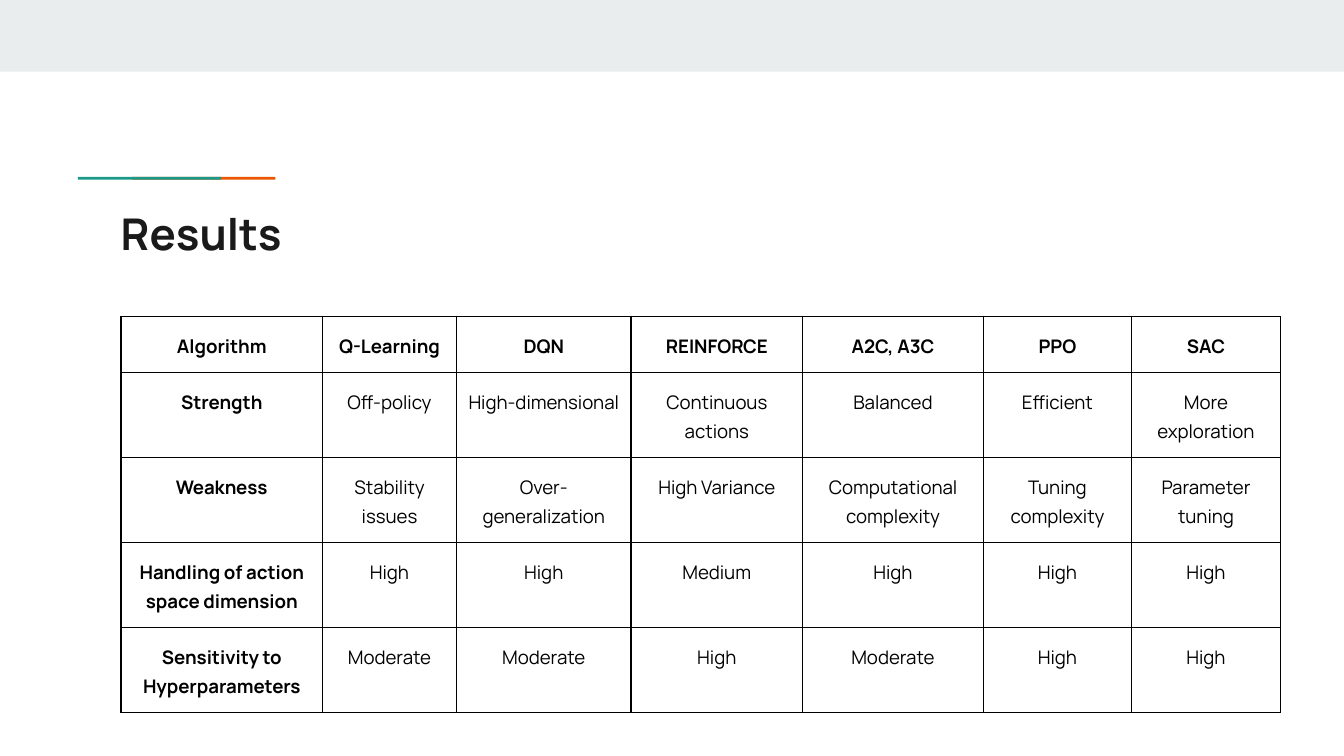
from dataclasses import dataclass

import pptx
import pptx.dml.color
import pptx.enum.shapes
import pptx.enum.text
import pptx.oxml
import pptx.oxml.ns
import pptx.slide
import pptx.table
import pptx.text.text
import pptx.util

Pt = pptx.util.Pt
RGBColor = pptx.dml.color.RGBColor

FONT = "Manrope"
BLACK = RGBColor(0x00, 0x00, 0x00)
TITLE_COLOR = RGBColor(0x1A, 0x1A, 0x1A)
BAND_COLOR = RGBColor(0xE9, 0xED, 0xEE)
TEAL = RGBColor(0x1A, 0x99, 0x88)
ORANGE = RGBColor(0xEB, 0x56, 0x00)

COLUMN_WIDTHS = (108, 71.7, 93.6, 91.8, 97, 79.2, 80)
HEADER_HEIGHT = 30
BODY_HEIGHT = 45.6
BORDER_WIDTH = 0.75

RESULTS = (
    ("Algorithm", "Q-Learning", "DQN", "REINFORCE", "A2C, A3C", "PPO", "SAC"),
    ("Strength", "Off-policy", "High-dimensional", "Continuous actions",
     "Balanced", "Efficient", "More exploration"),
    ("Weakness", "Stability issues", "Over-generalization", "High Variance",
     "Computational complexity", "Tuning complexity", "Parameter tuning"),
    ("Handling of action space dimension", "High", "High", "Medium",
     "High", "High", "High"),
    ("Sensitivity to Hyperparameters", "Moderate", "Moderate", "High",
     "Moderate", "High", "High"),
)


@dataclass(frozen=True)
class Bar:
    left: float
    top: float
    width: float
    height: float
    color: RGBColor
    rotation: float = 0


# The two accent bars are upright strips turned on their side; teal overlaps orange.
BARS = (
    Bar(0, 0, 720, 38.4, BAND_COLOR),
    Bar(108.4, 57.2, 1.5, 76.7, ORANGE, 270),
    Bar(79.4, 57.2, 1.5, 76.7, TEAL, 270),
)


def draw_bar(slide: pptx.slide.Slide, bar: Bar) -> None:
    shape = slide.shapes.add_shape(
        pptx.enum.shapes.MSO_SHAPE.RECTANGLE,
        Pt(bar.left), Pt(bar.top), Pt(bar.width), Pt(bar.height))
    shape.rotation = bar.rotation
    shape.shadow.inherit = False
    shape.fill.solid()
    shape.fill.fore_color.rgb = bar.color
    shape.line.fill.background()


def add_run(paragraph: pptx.text.text._Paragraph, text: str, size: float,
            color: RGBColor, bold: bool) -> None:
    run = paragraph.add_run()
    run.text = text
    run.font.name = FONT
    run.font.size = Pt(size)
    run.font.color.rgb = color
    run.font.bold = bold


def draw_title(slide: pptx.slide.Slide, text: str) -> None:
    box = slide.shapes.add_textbox(Pt(57.6), Pt(103.7), Pt(605.5), Pt(42.5))
    frame = box.text_frame
    frame.word_wrap = True
    frame.margin_left = frame.margin_right = Pt(7.2)
    frame.margin_top = frame.margin_bottom = Pt(7.2)
    add_run(frame.paragraphs[0], text, 23.4, TITLE_COLOR, True)


def add_borders(cell: pptx.table._Cell) -> None:
    """Put a thin black line on all four sides, ahead of the cell's fill."""
    properties = cell._tc.get_or_add_tcPr()
    namespace = pptx.oxml.ns.nsdecls("a")
    for position, side in enumerate(("lnL", "lnR", "lnT", "lnB")):
        properties.insert(position, pptx.oxml.parse_xml(
            f'<a:{side} {namespace} w="{Pt(BORDER_WIDTH)}"><a:solidFill>'
            f'<a:srgbClr val="{BLACK}"/></a:solidFill></a:{side}>'))


def fill_cell(cell: pptx.table._Cell, text: str, bold: bool) -> None:
    cell.margin_left = cell.margin_right = Pt(5)
    cell.margin_top = cell.margin_bottom = Pt(7.2)
    cell.fill.background()
    add_borders(cell)
    paragraph = cell.text_frame.paragraphs[0]
    paragraph.alignment = pptx.enum.text.PP_ALIGN.CENTER
    paragraph.line_spacing = 1.15
    add_run(paragraph, text, 10, BLACK, bold)


def draw_results(slide: pptx.slide.Slide) -> None:
    heights = [HEADER_HEIGHT] + [BODY_HEIGHT] * (len(RESULTS) - 1)
    table = slide.shapes.add_table(
        len(RESULTS), len(COLUMN_WIDTHS), Pt(64.8), Pt(169.4),
        Pt(sum(COLUMN_WIDTHS)), Pt(sum(heights))).table
    table.first_row = table.horz_banding = False
    for column, width in zip(table.columns, COLUMN_WIDTHS):
        column.width = Pt(width)
    for row_index, (row, height) in enumerate(zip(table.rows, heights)):
        row.height = Pt(height)
        for column_index, text in enumerate(RESULTS[row_index]):
            is_heading = row_index == 0 or column_index == 0
            fill_cell(row.cells[column_index], text, is_heading)


def main() -> None:
    presentation = pptx.Presentation()
    presentation.slide_width = Pt(720)
    presentation.slide_height = Pt(405)
    slide = presentation.slides.add_slide(presentation.slide_layouts[6])
    for bar in BARS:
        draw_bar(slide, bar)
    draw_title(slide, "Results")
    draw_results(slide)
    presentation.save("out.pptx")


if __name__ == "__main__":
    main()
